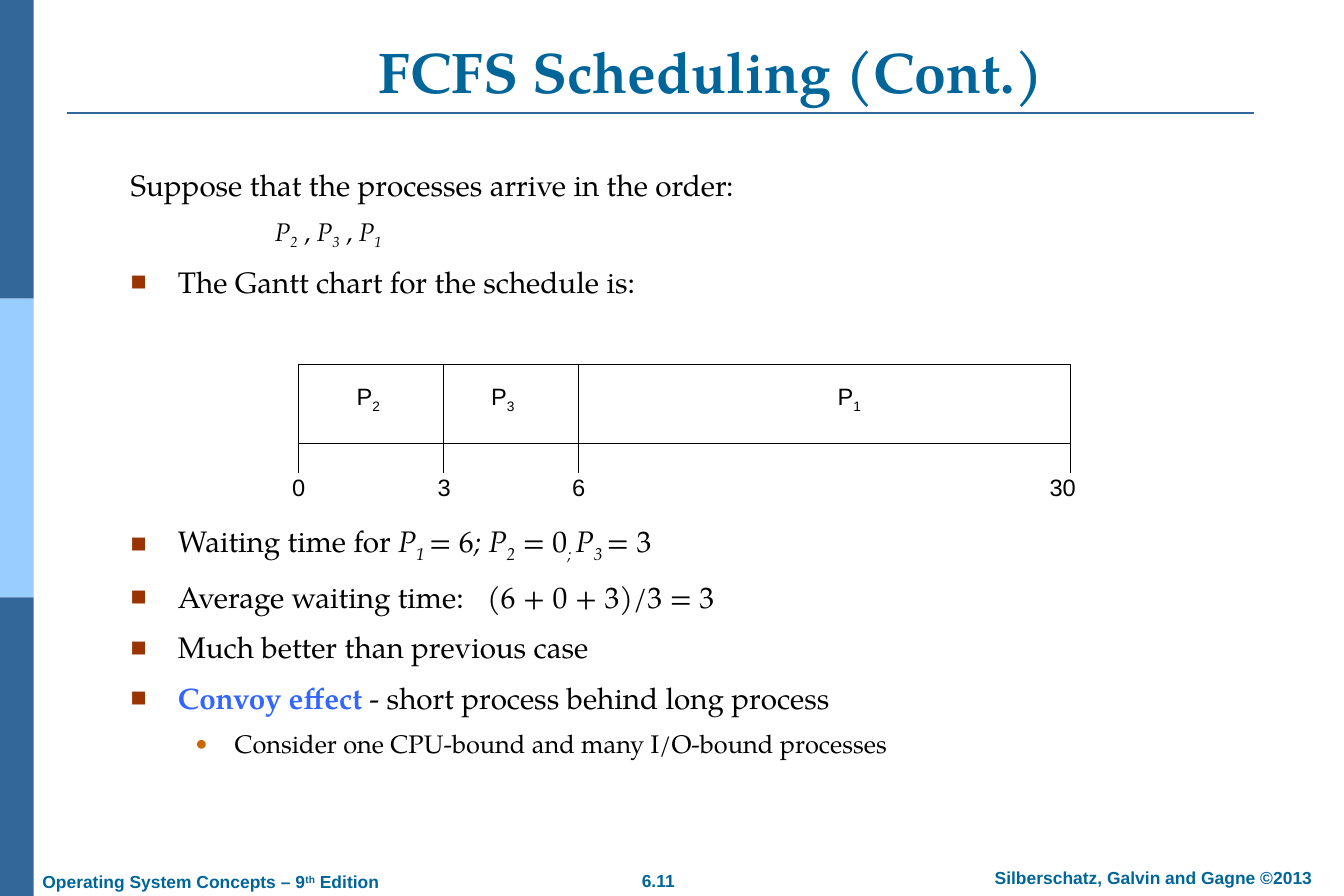
from dataclasses import dataclass

from lxml.etree import SubElement
from pptx import Presentation
from pptx.dml.color import RGBColor
from pptx.enum.shapes import MSO_CONNECTOR, MSO_SHAPE
from pptx.enum.text import MSO_ANCHOR as Anchor, MSO_AUTO_SIZE, PP_ALIGN as Align
from pptx.oxml.ns import qn
from pptx.util import Pt


@dataclass(frozen=True)
class Theme:
    serif: str = "TeX Gyre Pagella"
    sans: str = "Arial"
    heading: str = "006699"
    bar: str = "336699"
    bar_light: str = "99CCFF"
    ink: str = "000000"
    paper: str = "FFFFFF"
    term: str = "3366FF"
    square: str = "993300"
    dot: str = "CC6600"
    title_size: float = 46
    body_size: float = 23.8
    detail_size: float = 20.4
    chart_size: float = 19
    footer_size: float = 14


THEME = Theme()
TITLE_ONLY = 5
TITLE = "FCFS Scheduling (Cont.)"

# Runs are (text, marks): i italic, _ subscript, ^ superscript, t key term, w wide gap
INTRO = [("Suppose that the processes arrive in the order:", "")]
ORDER = [("P", "i"), ("2", "i_"), (" , ", ""), ("P", "i"), ("3", "i_"),
         (" , ", ""), ("P", "i"), ("1", "i_")]
GANTT_LEAD = [("The Gantt chart for the schedule is:", "")]
WAITING = [("Waiting time for ", ""), ("P", "i"), ("1 ", "i_"), ("=", "i"), (" 6", ""),
           ("; P", "i"), ("2", "i_"), (" = 0", ""), ("; ", "i_"), ("P", "i"),
           ("3 ", "i_"), ("= ", "i"), ("3", "")]
AVERAGE = [("Average waiting time:", ""), (" ", "w"), ("(6 + 0 + 3)/3 = 3", "")]
BETTER = [("Much better than previous case", "")]
CONVOY = [("Convoy effect ", "t"), ("- short process behind long process", "")]
CONSIDER = [("Consider one CPU-bound and many I/O-bound processes", "")]

# Process number and label centre
PROCESSES = [("2", 296), ("3", 404), ("1", 682.5)]
# Time, tick position and label centre
TIMES = [("0", 240, 240), ("3", 356.5, 357), ("6", 464.5, 465), ("30", 860.5, 854)]
GANTT_TOP, GANTT_BOTTOM, TICK_END = 292.5, 356.5, 380

# Left, top, width, alignment, runs
FOOTERS = [
    (479, 694, 100, Align.CENTER, [("6.11", "")]),
    (774, 692, 306, Align.CENTER, [("Silberschatz, Galvin and Gagne ©2013", "")]),
    (24, 695, 300, Align.LEFT,
     [("Operating System Concepts – 9", ""), ("th", "^"), (" Edition", "")]),
]


def rgb(code):
    return RGBColor.from_string(code)


def add_runs(paragraph, runs, face, size, color, bold=False):
    for text, marks in runs:
        run = paragraph.add_run()
        run.text = text
        run.font.name = face
        run.font.size = Pt(size)
        run.font.bold = bold or "t" in marks
        run.font.italic = "i" in marks
        run.font.color.rgb = rgb(THEME.term if "t" in marks else color)
        properties = run._r.get_or_add_rPr()
        if "_" in marks:
            properties.set("baseline", "-25000")
        if "^" in marks:
            properties.set("baseline", "30000")
        if "w" in marks:
            properties.set("spc", "1300")


def set_frame(frame, inset_x, inset_y, anchor=Anchor.TOP, wrap=True):
    frame.word_wrap = wrap
    frame.auto_size = MSO_AUTO_SIZE.NONE
    frame.vertical_anchor = anchor
    frame.margin_left = frame.margin_right = Pt(inset_x)
    frame.margin_top = frame.margin_bottom = Pt(inset_y)


def add_box(shapes, left, top, width, height, fill, line=None):
    box = shapes.add_shape(MSO_SHAPE.RECTANGLE, Pt(left), Pt(top), Pt(width), Pt(height))
    box.shadow.inherit = False
    box.fill.solid()
    box.fill.fore_color.rgb = rgb(fill)
    if line:
        box.line.color.rgb = rgb(line)
        box.line.width = Pt(0.75)
    else:
        box.line.fill.background()


def add_line(shapes, x1, y1, x2, y2, color, weight):
    line = shapes.add_connector(MSO_CONNECTOR.STRAIGHT, Pt(x1), Pt(y1), Pt(x2), Pt(y2))
    line.line.color.rgb = rgb(color)
    line.line.width = Pt(weight)
    SubElement(line._element.spPr, qn("a:effectLst"))


def add_label(shapes, center_x, center_y, runs):
    width, height = 36, 32
    label = shapes.add_textbox(Pt(center_x - width / 2), Pt(center_y - height / 2),
                               Pt(width), Pt(height))
    set_frame(label.text_frame, 0, 3.5, Anchor.MIDDLE, wrap=False)
    paragraph = label.text_frame.paragraphs[0]
    paragraph.alignment = Align.CENTER
    add_runs(paragraph, runs, THEME.sans, THEME.chart_size, THEME.ink)


def format_paragraph(paragraph, before, left, hanging=0, bullet=None):
    """Set spacing and indent; bullet is (character, colour, percent)."""
    paragraph.space_before = Pt(before)
    properties = paragraph._p.get_or_add_pPr()
    properties.set("marL", str(Pt(left)))
    properties.set("indent", str(Pt(-hanging)))
    if bullet:
        character, color, percent = bullet
        SubElement(SubElement(properties, qn("a:buClr")), qn("a:srgbClr"), val=color)
        SubElement(properties, qn("a:buSzPct"), val=str(percent * 1000))
        SubElement(properties, qn("a:buFont"), typeface=THEME.sans)
        SubElement(properties, qn("a:buChar"), char=character)


def add_frame_bars(shapes):
    for row, color in enumerate((THEME.bar, THEME.bar_light, THEME.bar)):
        add_box(shapes, 0, row * 240, 27, 240, color)
    add_line(shapes, 54, 90.5, 1008, 90.5, THEME.bar, 1.5)


def add_footers(shapes):
    for left, top, width, alignment, runs in FOOTERS:
        footer = shapes.add_textbox(Pt(left), Pt(top), Pt(width), Pt(25))
        set_frame(footer.text_frame, 10, 5)
        paragraph = footer.text_frame.paragraphs[0]
        paragraph.alignment = alignment
        add_runs(paragraph, runs, THEME.sans, THEME.footer_size, THEME.heading, bold=True)


def set_title(title):
    title.left, title.top, title.width, title.height = Pt(116), Pt(29), Pt(910), Pt(60.5)
    set_frame(title.text_frame, 10, 5, Anchor.BOTTOM)
    paragraph = title.text_frame.paragraphs[0]
    paragraph.alignment = Align.CENTER
    add_runs(paragraph, [(TITLE, "")], THEME.serif, THEME.title_size, THEME.heading, bold=True)


def add_body(shapes):
    body = shapes.add_textbox(Pt(95), Pt(129.5), Pt(972), Pt(476))
    set_frame(body.text_frame, 10, 5)
    square = (38, 38, ("■", THEME.square, 90))
    dot = (83.5, 31.5, ("●", THEME.dot, 80))
    # The large space before WAITING leaves room for the Gantt chart
    rows = [
        (INTRO, THEME.body_size, 12, (0,)),
        (ORDER, THEME.detail_size, 10.5, (116,)),
        (GANTT_LEAD, THEME.body_size, 10.5, square),
        (WAITING, THEME.body_size, 180, square),
        (AVERAGE, THEME.body_size, 12, square),
        (BETTER, THEME.body_size, 12, square),
        (CONVOY, THEME.body_size, 12, square),
        (CONSIDER, THEME.detail_size, 10.5, dot),
    ]
    for index, (runs, size, before, layout) in enumerate(rows):
        frame = body.text_frame
        paragraph = frame.add_paragraph() if index else frame.paragraphs[0]
        format_paragraph(paragraph, before, *layout)
        add_runs(paragraph, runs, THEME.serif, size, THEME.ink)


def add_gantt(shapes):
    gantt = shapes.add_group_shape().shapes
    start, end = TIMES[0][1], TIMES[-1][1]
    add_box(gantt, start, GANTT_TOP, end - start, GANTT_BOTTOM - GANTT_TOP,
            THEME.paper, THEME.ink)
    for number, center in PROCESSES:
        add_label(gantt, center, 319.5, [("P", ""), (number, "_")])
    for time, x, center in TIMES:
        top = GANTT_BOTTOM if x in (start, end) else GANTT_TOP
        add_line(gantt, x, top, x, TICK_END, THEME.ink, 0.75)
        add_label(gantt, center, 391.5, [(time, "")])


def main():
    deck = Presentation()
    deck.slide_width, deck.slide_height = Pt(1080), Pt(720)
    slide = deck.slides.add_slide(deck.slide_layouts[TITLE_ONLY])
    add_frame_bars(slide.shapes)
    add_footers(slide.shapes)
    set_title(slide.shapes.title)
    add_body(slide.shapes)
    add_gantt(slide.shapes)
    deck.save("out.pptx")


if __name__ == "__main__":
    main()
